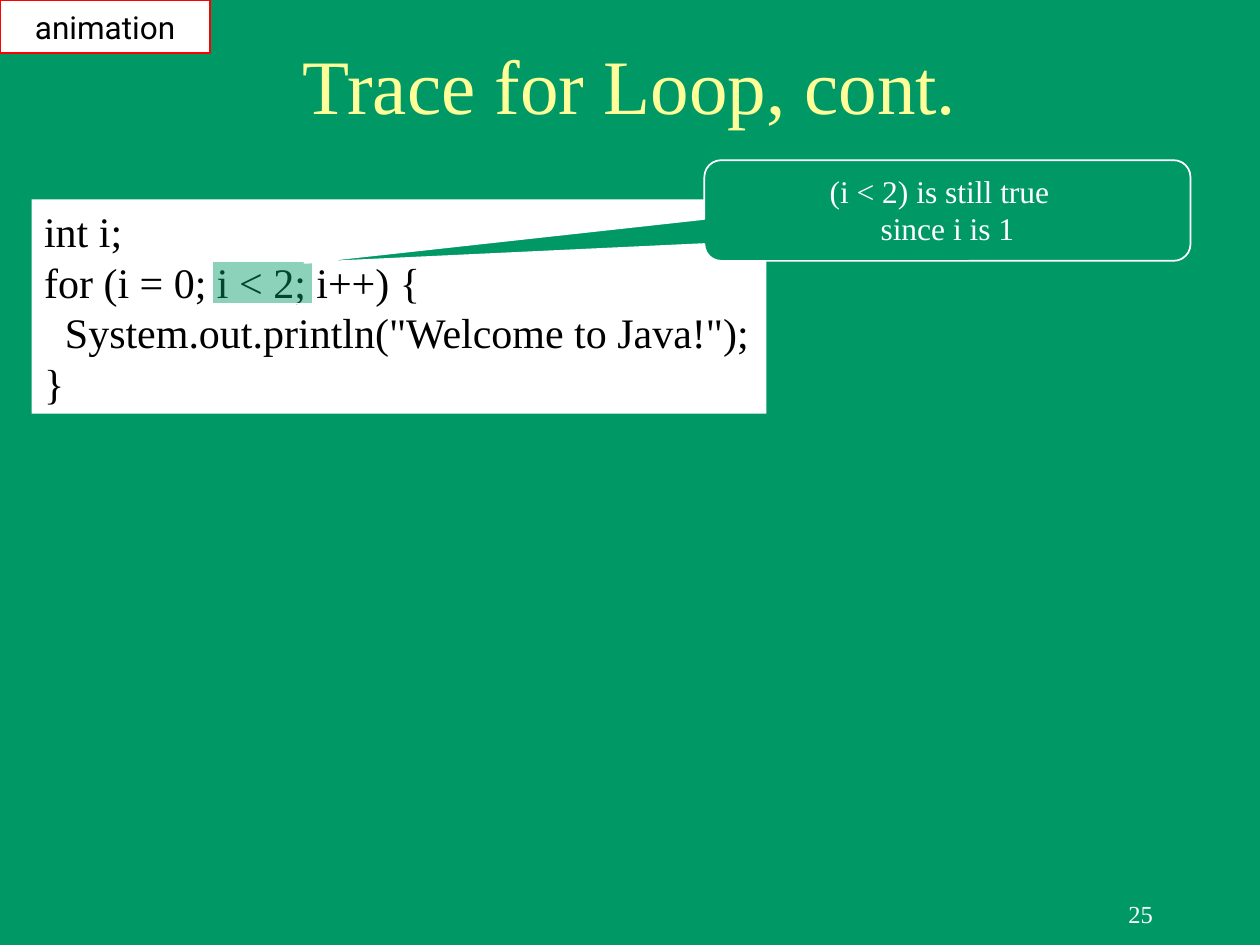
from lxml.etree import SubElement
from pptx import Presentation
from pptx.dml.color import RGBColor
from pptx.enum.shapes import MSO_SHAPE as Shape
from pptx.enum.text import MSO_ANCHOR as Anchor, MSO_AUTO_SIZE as AutoSize, PP_ALIGN as Align
from pptx.oxml.ns import qn
from pptx.util import Cm, Pt

GREEN = RGBColor(0x00, 0x99, 0x66)
YELLOW = RGBColor(0xFF, 0xFF, 0x99)
WHITE = RGBColor(0xFF, 0xFF, 0xFF)
BLACK = RGBColor(0x00, 0x00, 0x00)
RED = RGBColor(0xFF, 0x00, 0x00)
SERIF = "Times New Roman"
SANS = "Roboto"


def write(sp, lines, size, color, font=SERIF, align=Align.LEFT,
          anchor=Anchor.MIDDLE, wrap=True):
    """Fill a shape with paragraphs given as (text, left margin, right margin)."""
    tf = sp.text_frame
    tf.word_wrap = wrap
    tf.vertical_anchor = anchor
    tf.margin_left = tf.margin_right = Cm(0.25)
    tf.margin_top = tf.margin_bottom = Cm(0.13)
    for i, (text, left, right) in enumerate(lines):
        p = tf.add_paragraph() if i else tf.paragraphs[0]
        p.alignment = align
        pPr = p._p.get_or_add_pPr()
        pPr.set("marL", str(Cm(left)))
        pPr.set("marR", str(Cm(right)))
        r = p.add_run()
        r.text = text
        r.font.name = font
        r.font.size = Pt(size)
        r.font.color.rgb = color
    return tf


def add_box(s, kind, left, top, width, height, fill, line=None):
    sp = s.shapes.add_shape(kind, Cm(left), Cm(top), Cm(width), Cm(height))
    sp.shadow.inherit = False
    sp.fill.solid()
    sp.fill.fore_color.rgb = fill
    if line is None:
        sp.line.fill.background()
    else:
        sp.line.color.rgb = line
        sp.line.width = Pt(1)
    return sp


def set_opacity(sp, percent):
    color = sp.fill._xPr.find(qn("a:solidFill"))[0]
    SubElement(color, qn("a:alpha")).set("val", str(percent * 1000))


def add_title(s, text):
    title = s.shapes.title
    title.left, title.top = Cm(1.9), Cm(0.64)
    title.width, title.height = Cm(21.6), Cm(2.1)
    tf = write(title, [(text, 0, 0)], 44, YELLOW, align=Align.CENTER)
    tf.auto_size = AutoSize.NONE


def add_page_number(s, number):
    sp = s.shapes.add_textbox(Cm(18.21), Cm(17.78), Cm(5.28), Cm(1.27))
    write(sp, [(number, 0, 0)], 14, WHITE, align=Align.RIGHT)


def add_code(s, lines):
    sp = add_box(s, Shape.RECTANGLE, 0.64, 4.02, 14.81, 4.32, WHITE)
    tf = write(sp, lines, 24, BLACK, anchor=Anchor.TOP)
    tf.auto_size = AutoSize.SHAPE_TO_FIT_TEXT


def add_callout(s, lines):
    sp = add_box(s, Shape.ROUNDED_RECTANGULAR_CALLOUT, 14.2, 3.23, 9.8, 2.03, GREEN, WHITE)
    for i, value in enumerate((-1.323, 0.52, 0.167)):
        sp.adjustments[i] = value
    write(sp, lines, 18, WHITE, align=Align.CENTER, anchor=Anchor.TOP)


def main():
    prs = Presentation()
    prs.slide_width, prs.slide_height = Cm(25.4), Cm(19.05)
    s = prs.slides.add_slide(prs.slide_layouts[5])
    s.background.fill.solid()
    s.background.fill.fore_color.rgb = GREEN

    add_page_number(s, "25")
    add_title(s, "Trace for Loop, cont.")

    # Code listing, with the loop body indented
    add_code(s, [
        ("int i;", 0, 0),
        ("for (i = 0; i < 2; i++) {", 0, 0),
        ('System.out.println("Welcome to Java!");', 0.42, 0),
        ("}", 0, 0),
    ])

    # Highlight over the loop condition
    highlight = add_box(s, Shape.RECTANGLE, 4.27, 5.26, 2.03, 0.86, GREEN, WHITE)
    set_opacity(highlight, 45)

    # Explanation of the current step
    add_callout(s, [("(i < 2) is still true", 0, 0.32), ("since i is 1", 0, 0)])

    # Corner label
    label = add_box(s, Shape.RECTANGLE, 0, 0, 4.24, 1.07, WHITE, RED)
    write(label, [("animation", 0, 0)], 18, BLACK, SANS, Align.CENTER, wrap=False)

    prs.save("out.pptx")


if __name__ == "__main__":
    main()
